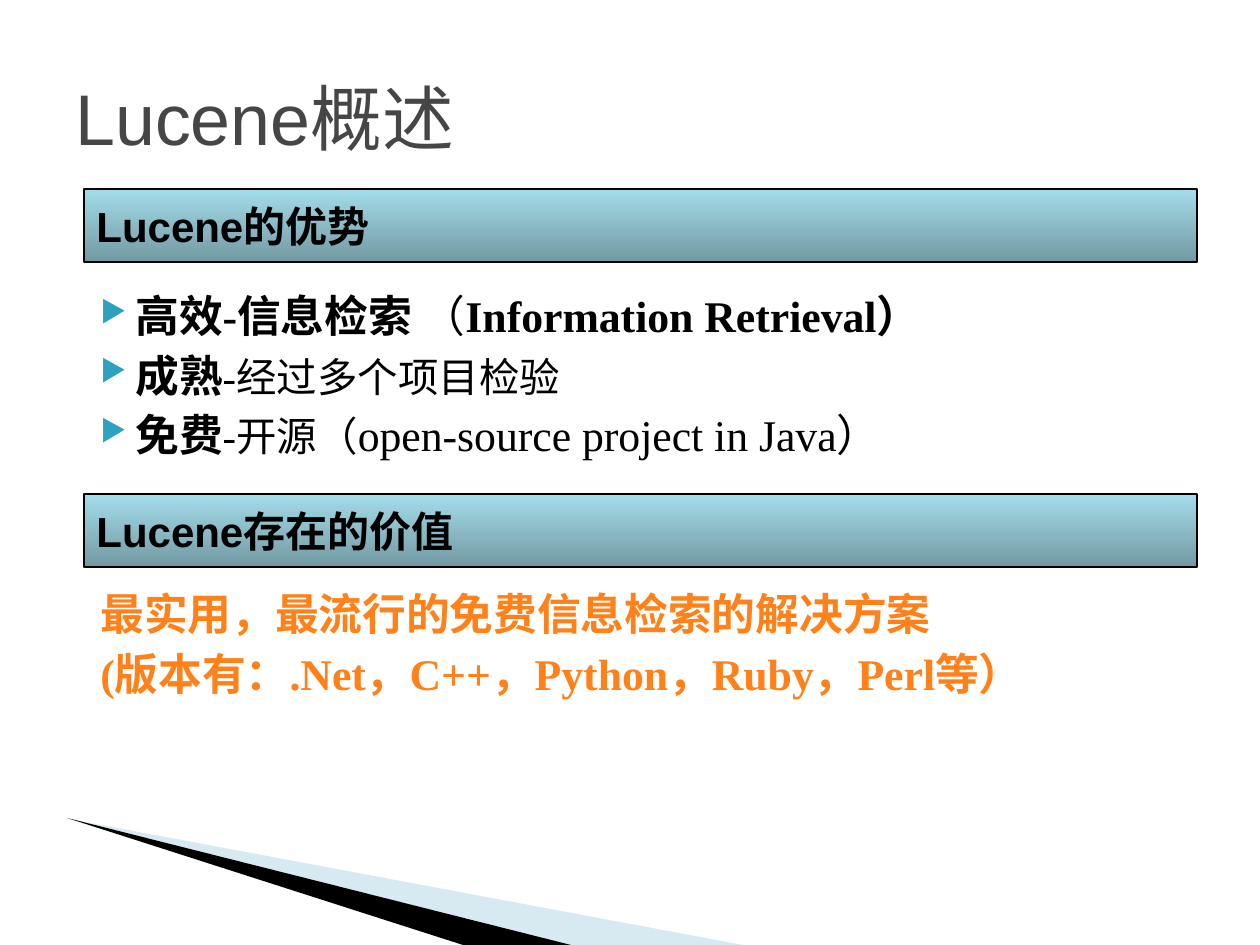
from lxml import etree
from pptx import Presentation
from pptx.dml.color import RGBColor
from pptx.enum.shapes import MSO_SHAPE
from pptx.enum.text import MSO_ANCHOR
from pptx.oxml.ns import qn
from pptx.util import Emu, Pt

EMU_PER_PX = 914400 / 126
COLORS = {
    "title": "464646", "text": "000000", "accent": "FF8119", "bullet": "2DA2BF",
    "bar_top": "A4DDEA", "bar_bottom": "7299A2", "pale": "9FCBDC", "black": "000000",
}


def px(*values):
    return [Emu(round(v * EMU_PER_PX)) for v in values]


def add_run(p, text, color, **font):
    r = p.add_run()
    r.text = text
    r.font.color.rgb = RGBColor.from_string(COLORS[color])
    for name, value in font.items():
        setattr(r.font, name, value)


prs = Presentation()
prs.slide_width, prs.slide_height = px(1260, 945)
slide = prs.slides.add_slide(prs.slide_layouts[6])
shapes = slide.shapes

# Corner wedges
wedges = [
    ("pale", 40, [(69, 819), (743, 945), (571, 945)]),
    ("black", 100, [(67, 818), (571, 945), (463, 945)]),
]
for color, opacity, points in wedges:
    builder = shapes.build_freeform(*points[0], scale=EMU_PER_PX)
    builder.add_line_segments(points[1:], close=True)
    sp = builder.convert_to_shape()
    sp.shadow.inherit = False
    sp.line.fill.background()
    sp.fill.solid()
    sp.fill.fore_color.rgb = RGBColor.from_string(COLORS[color])
    if opacity < 100:
        rgb = sp.fill._xPr.find(".//" + qn("a:srgbClr"))
        etree.SubElement(rgb, qn("a:alpha"), val=str(opacity * 1000))

# Title
tf = shapes.add_textbox(*px(63, 38, 1134, 157)).text_frame
tf.word_wrap = True
tf.vertical_anchor = MSO_ANCHOR.MIDDLE
add_run(tf.paragraphs[0], "Lucene概述", "title", size=Pt(41), name="Arial")

# Body: each run is text, size, bold
advantages = [
    [("高效-信息检索", 25, True), (" （", 25, False), ("Information Retrieval）", 25, True)],
    [("成熟", 25, True), ("-经过多个项目检验", 23.1, False)],
    [("免费", 25, True), ("-开源（", 23.1, False), ("open-source project in Java）", 25, False)],
]
value = [
    [("最实用，最流行的免费信息检索的解决方案", 25, True)],
    [("(版本有：.Net，C++，Python，Ruby，Perl等）", 25, True)],
]
left_margin, hanging = px(50, -35)
for top, height, color, bulleted, lines in [
    (283, 200, "text", True, advantages),
    (581, 140, "accent", False, value),
]:
    tf = shapes.add_textbox(*px(73, top, 1134, height)).text_frame
    tf.word_wrap = True
    for i, runs in enumerate(lines):
        p = tf.add_paragraph() if i else tf.paragraphs[0]
        p.space_before = Pt(4)
        pPr = p._p.get_or_add_pPr()
        pPr.set("marL", str(left_margin))
        pPr.set("indent", str(hanging))
        if bulleted:
            bullet_color = etree.SubElement(pPr, qn("a:buClr"))
            etree.SubElement(bullet_color, qn("a:srgbClr"), val=COLORS["bullet"])
            etree.SubElement(pPr, qn("a:buSzPct"), val="68000")
            etree.SubElement(pPr, qn("a:buChar"), char="▶")
        for text, size, bold in runs:
            add_run(p, text, color, size=Pt(size), bold=bold, name="Times New Roman")

# Section bars
for top, heading in [(189, "Lucene的优势"), (494, "Lucene存在的价值")]:
    sp = shapes.add_shape(MSO_SHAPE.RECTANGLE, *px(84, top, 1113, 73))
    sp.shadow.inherit = False
    sp.fill.gradient()
    sp.fill.gradient_angle = 270
    for stop, position, color in zip(sp.fill.gradient_stops, (0, 1), ("bar_top", "bar_bottom")):
        stop.position = position
        stop.color.rgb = RGBColor.from_string(COLORS[color])
    sp.line.color.rgb = RGBColor.from_string(COLORS["black"])
    sp.line.width = Pt(0.75)
    tf = sp.text_frame
    tf.word_wrap = True
    tf.vertical_anchor = MSO_ANCHOR.MIDDLE
    p = tf.paragraphs[0]
    p.alignment = 1
    add_run(p, heading, "text", size=Pt(24), bold=True, name="Arial")

prs.save("out.pptx")
